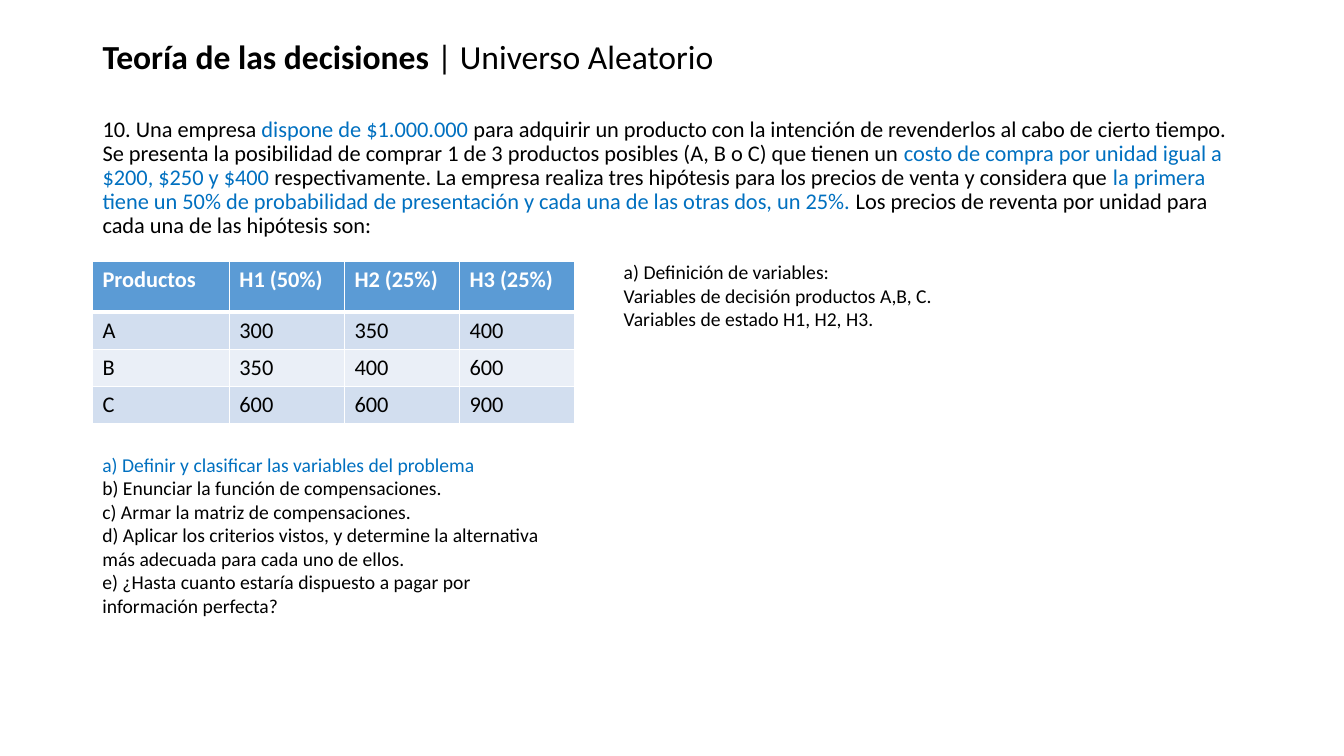
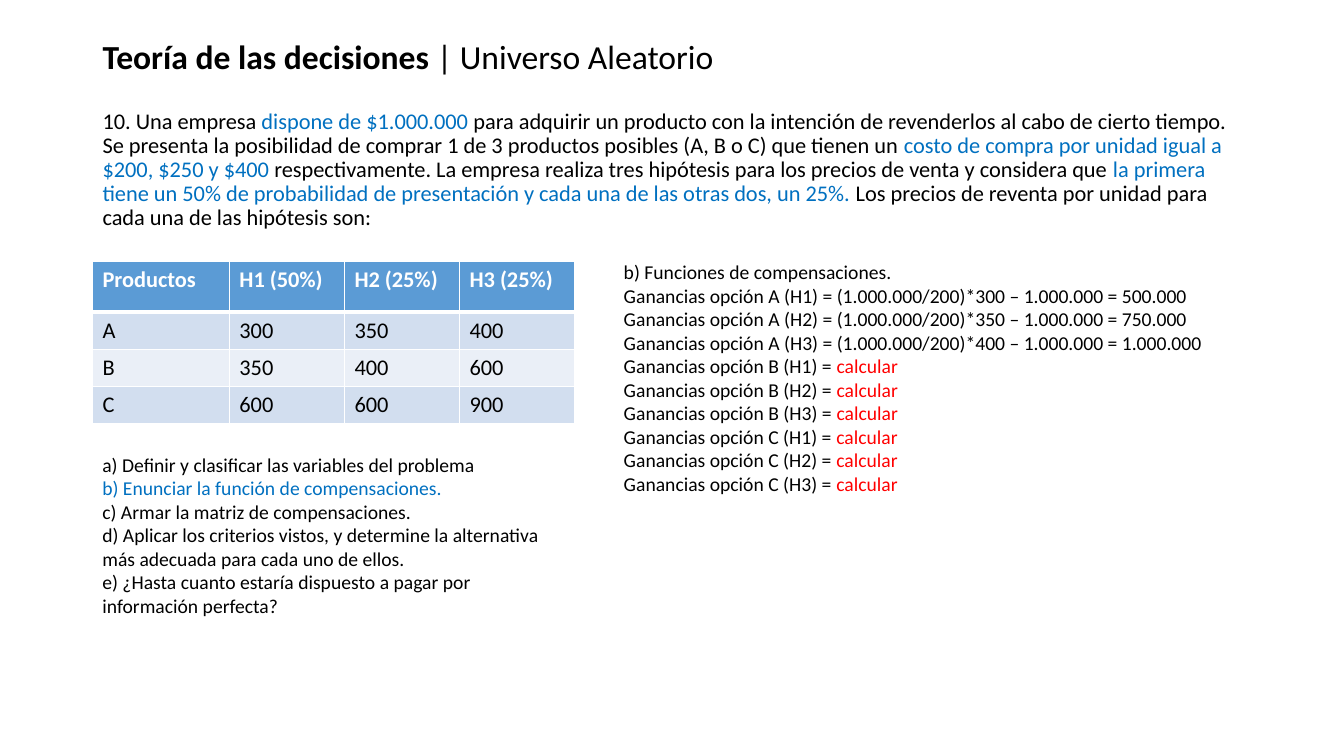
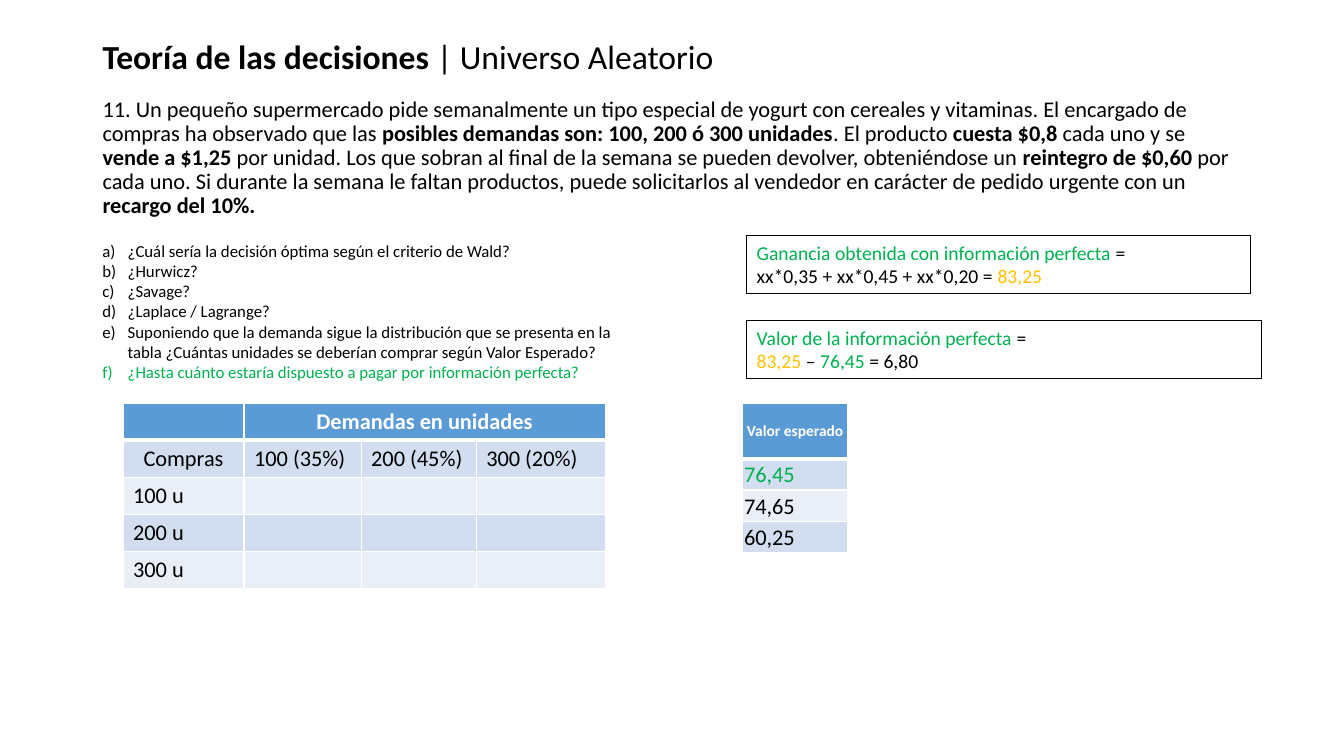
"""Build three slides on decision theory exercises under uncertainty."""
from lxml import etree
from pptx import Presentation
from pptx.dml.color import RGBColor
from pptx.enum.text import MSO_ANCHOR, MSO_AUTO_SIZE, PP_ALIGN
from pptx.oxml.ns import qn
from pptx.util import Cm, Pt

LEFT, CENTER = PP_ALIGN.LEFT, PP_ALIGN.CENTER
TOP, MIDDLE = MSO_ANCHOR.TOP, MSO_ANCHOR.MIDDLE
FIXED, GROW = MSO_AUTO_SIZE.NONE, MSO_AUTO_SIZE.SHAPE_TO_FIT_TEXT

FONT = "Calibri"
COLORS = {
    "black": "000000", "white": "FFFFFF", "blue": "0070C0", "green": "00B050",
    "gold": "FFC000", "red": "FF0000", "head": "5B9BD5", "dark": "D2DEEF",
    "light": "EAEFF7",
}
MARGIN, WIDTH = 2.33, 29.21

TITLE = [[("Teoría de las decisiones ", "bold"), "| Universo Aleatorio"]]
RESALE = [[
    "10. Una empresa ",
    ("dispone de $1.000.000 ", "blue"),
    "para adquirir un producto con la intención de revenderlos al cabo de "
    "cierto tiempo. Se presenta la posibilidad de comprar 1 de 3 productos "
    "posibles (A, B o C) que tienen un ",
    ("costo de compra por unidad igual a $200, $250 y $400 ", "blue"),
    "respectivamente. La empresa realiza tres hipótesis para los precios de "
    "venta y considera que ",
    ("la primera tiene un 50% de probabilidad de presentación y cada una de "
     "las otras dos, un 25%.", "blue"),
    " Los precios de reventa por unidad para cada una de las hipótesis son:",
]]
YOGURT = [[
    "11. Un pequeño supermercado pide semanalmente un tipo especial de yogurt "
    "con cereales y vitaminas. El encargado de compras ha observado que las ",
    ("posibles demandas son: 100, 200 ó 300 unidades", "bold"),
    ". El producto ",
    ("cuesta $0,8", "bold"),
    " cada uno y se ",
    ("vende a $1,25 ", "bold"),
    "por unidad. Los que sobran al final de la semana se pueden devolver, "
    "obteniéndose un ",
    ("reintegro de $0,60 ", "bold"),
    "por cada uno. Si durante la semana le faltan productos, puede "
    "solicitarlos al vendedor en carácter de pedido urgente con un ",
    ("recargo del 10%.", "bold"),
]]
TASKS = [
    "a) Definir y clasificar las variables del problema",
    "b) Enunciar la función de compensaciones.",
    "c) Armar la matriz de compensaciones.",
    "d) Aplicar los criterios vistos, y determine la alternativa más adecuada "
    "para cada uno de ellos.",
    "e) ¿Hasta cuanto estaría dispuesto a pagar por información perfecta?",
]
PRICES = [
    ["Productos", "H1 (50%)", "H2 (25%)", "H3 (25%)"],
    ["A", "300", "350", "400"],
    ["B", "350", "400", "600"],
    ["C", "600", "600", "900"],
]
STATES = [
    ["a) Definición de variables:"],
    ["Variables de decisión productos A,B, C."],
    ["Variables de estado H1, H2, H3."],
]
GAINS = [("H1", "300", "500.000"), ("H2", "350", "750.000"),
         ("H3", "400", "1.000.000")]
PAYOFFS = (
    [["b) Funciones de compensaciones."]]
    + [[f"Ganancias opción A ({state}) = (1.000.000/200)*{price} – 1.000.000 = {gain}"]
       for state, price, gain in GAINS]
    + [[f"Ganancias opción {option} ({state}) = ", ("calcular", "red")]
       for option in "BC" for state, _, _ in GAINS]
)
QUERIES = [
    ["¿Cuál sería la decisión óptima según el criterio de Wald?"],
    ["¿Hurwicz?"],
    ["¿Savage?"],
    ["¿Laplace / Lagrange?"],
    ["Suponiendo que la demanda sigue la distribución que se presenta en la "
     "tabla ¿Cuántas unidades se deberían comprar según Valor Esperado?"],
    [("¿Hasta cuánto estaría dispuesto a pagar por información perfecta?", "green")],
]
DEMAND = [
    ["", "Demandas en unidades", "", ""],
    ["Compras", "100 (35%)", "200 (45%)", "300 (20%)"],
    ["100 u", "", "", ""],
    ["200 u", "", "", ""],
    ["300 u", "", "", ""],
]
VALUES = [["Valor esperado"], [("76,45", "green")], ["74,65"], ["60,25"]]
PERFECT = [
    [("Ganancia obtenida con información perfecta ", "green"), "="],
    ["xx*0,35 + xx*0,45 + xx*0,20 = ", ("83,25", "gold")],
]
WORTH = [
    [("Valor de la información perfecta ", "green"), "="],
    [("83,25 ", "gold"), "– ", ("76,45 ", "green"), "= 6,80"],
]


def tint(name):
    """Return the named colour."""
    return RGBColor.from_string(COLORS[name])


def style(font, mark):
    """Apply bold or a colour to a font."""
    if mark == "bold":
        font.bold = True
    else:
        font.color.rgb = tint(mark)


def write(frame, lines, size, color="black"):
    """Fill a text frame with lines, each a list of plain or marked parts."""
    for index, parts in enumerate(lines):
        para = frame.add_paragraph() if index else frame.paragraphs[0]
        para.alignment = LEFT
        para.font.name, para.font.size = FONT, Pt(size)
        para.font.color.rgb = tint(color)
        for part in parts:
            text, mark = (part, None) if isinstance(part, str) else part
            if text:
                run = para.add_run()
                run.text = text
                if mark:
                    style(para.font if len(parts) == 1 else run.font, mark)


def bullet(para, kind, indent=0, **marks):
    """Set the bullet element and hanging indent of a paragraph."""
    props = para._p.get_or_add_pPr()
    props.set("marL", str(Cm(indent)))
    props.set("indent", str(-Cm(indent)))
    mark = etree.Element(qn(kind), **marks)
    fonts = props.find(qn("a:defRPr"))
    if fonts is None:
        props.append(mark)
    else:
        fonts.addprevious(mark)


def place(shape, box):
    """Move and size a shape in centimetres."""
    shape.left, shape.top, shape.width, shape.height = map(Cm, box)


def hold(shape, box, lines, size, anchor):
    """Place and fill a template placeholder."""
    place(shape, box)
    frame = shape.text_frame
    frame.word_wrap, frame.auto_size = True, FIXED
    frame.vertical_anchor = anchor
    write(frame, lines, size)
    for para in frame.paragraphs:
        para.line_spacing = 0.9
    return frame.paragraphs[0]


def start(deck, text, top, height):
    """Add a slide with the shared title and an opening paragraph."""
    slide = deck.slides.add_slide(deck.slide_layouts[1])
    title, body = slide.placeholders
    hold(title, (MARGIN, 0.66, WIDTH, 1.65), TITLE, 24, MIDDLE)
    para = hold(body, (MARGIN, top, WIDTH, height), text, 16, TOP)
    para.space_before = Pt(10)
    bullet(para, "a:buNone")
    return slide


def label(slide, box, lines, size=14, framed=False):
    """Add a wrapped text box, with a thin outline if framed."""
    shape = slide.shapes.add_textbox(*map(Cm, box))
    frame = shape.text_frame
    frame.word_wrap, frame.auto_size = True, GROW
    write(frame, lines, size)
    if framed:
        shape.line.color.rgb = tint("black")
        shape.line.width = Pt(0.75)
    return frame


def border(cell, base):
    """Draw white cell borders with the given bottom width."""
    props = cell._tc.get_or_add_tcPr()
    for side, width in (("L", 1), ("R", 1), ("T", 1), ("B", base)):
        line = etree.SubElement(props, qn("a:ln" + side), w=str(Pt(width)))
        fill = etree.SubElement(line, qn("a:solidFill"))
        etree.SubElement(fill, qn("a:srgbClr"), val=COLORS["white"])


def grid(slide, spot, widths, heights, rows, head=16):
    """Add a banded table with a bold header row."""
    size = sum(widths), sum(heights)
    table = slide.shapes.add_table(
        len(rows), len(widths), *map(Cm, spot + size)).table
    for column, width in zip(table.columns, widths):
        column.width = Cm(width)
    for index, (row, height) in enumerate(zip(table.rows, heights)):
        row.height = Cm(height)
        band = "dark" if index % 2 else "light"
        for cell, part in zip(row.cells, rows[index]):
            first = index == 0
            border(cell, 1 if index else 3)
            cell.fill.solid()
            cell.fill.fore_color.rgb = tint("head" if first else band)
            write(cell.text_frame, [[part]], head if first else 16,
                  "white" if first else "black")
            cell.text_frame.paragraphs[0].font.bold = first
    return table


def center(cell):
    """Centre the text of a cell."""
    cell.text_frame.paragraphs[0].alignment = CENTER


def resale(deck, top, active, notes, height):
    """Add a resale slide with one task highlighted and its answer."""
    slide = start(deck, RESALE, top, 3.33)
    tasks = [[(task, "blue") if index == active else task]
             for index, task in enumerate(TASKS)]
    label(slide, (MARGIN, 11.28, 12.17, 4.45), tasks)
    grid(slide, (MARGIN, 6.58), [3.45] + [2.9] * 3, [1.29] + [0.93] * 3, PRICES)
    label(slide, (15.47, 6.43, 15.82, height), notes)


def yogurt(deck):
    """Add the yogurt slide with its questions, tables and results."""
    slide = start(deck, YOGURT, 2.34, 3.23)
    frame = label(slide, (MARGIN, 5.94, 13.69, 3.84), QUERIES, 12)
    for para in frame.paragraphs:
        bullet(para, "a:buAutoNum", 0.64, type="alphaLcParenR")
    table = grid(slide, (3.1, 10.16), [3.05, 2.95, 2.9, 3.25], [0.93] * 5, DEMAND)
    table.cell(0, 1).merge(table.cell(0, 3))
    center(table.cell(0, 1))
    center(table.cell(1, 0))
    table = grid(slide, (18.72, 10.16), [2.64], [1.4] + [0.79] * 3, VALUES, 11)
    center(table.cell(0, 0))
    for cell in table.iter_cells():
        cell.vertical_anchor = MIDDLE
        cell.margin_left = cell.margin_right = cell.margin_top = Cm(0.03)
        cell.margin_bottom = 0
    label(slide, (18.82, 8.08, 12.98, 1.45), WORTH, framed=True)
    label(slide, (18.82, 5.94, 12.7, 1.45), PERFECT, framed=True)


def main():
    """Build and save the deck."""
    deck = Presentation()
    deck.slide_width, deck.slide_height = Cm(33.87), Cm(19.05)
    resale(deck, 2.84, 0, STATES, 2.06)
    resale(deck, 2.64, 1, PAYOFFS, 6.25)
    yogurt(deck)
    deck.save("out.pptx")


if __name__ == "__main__":
    main()
